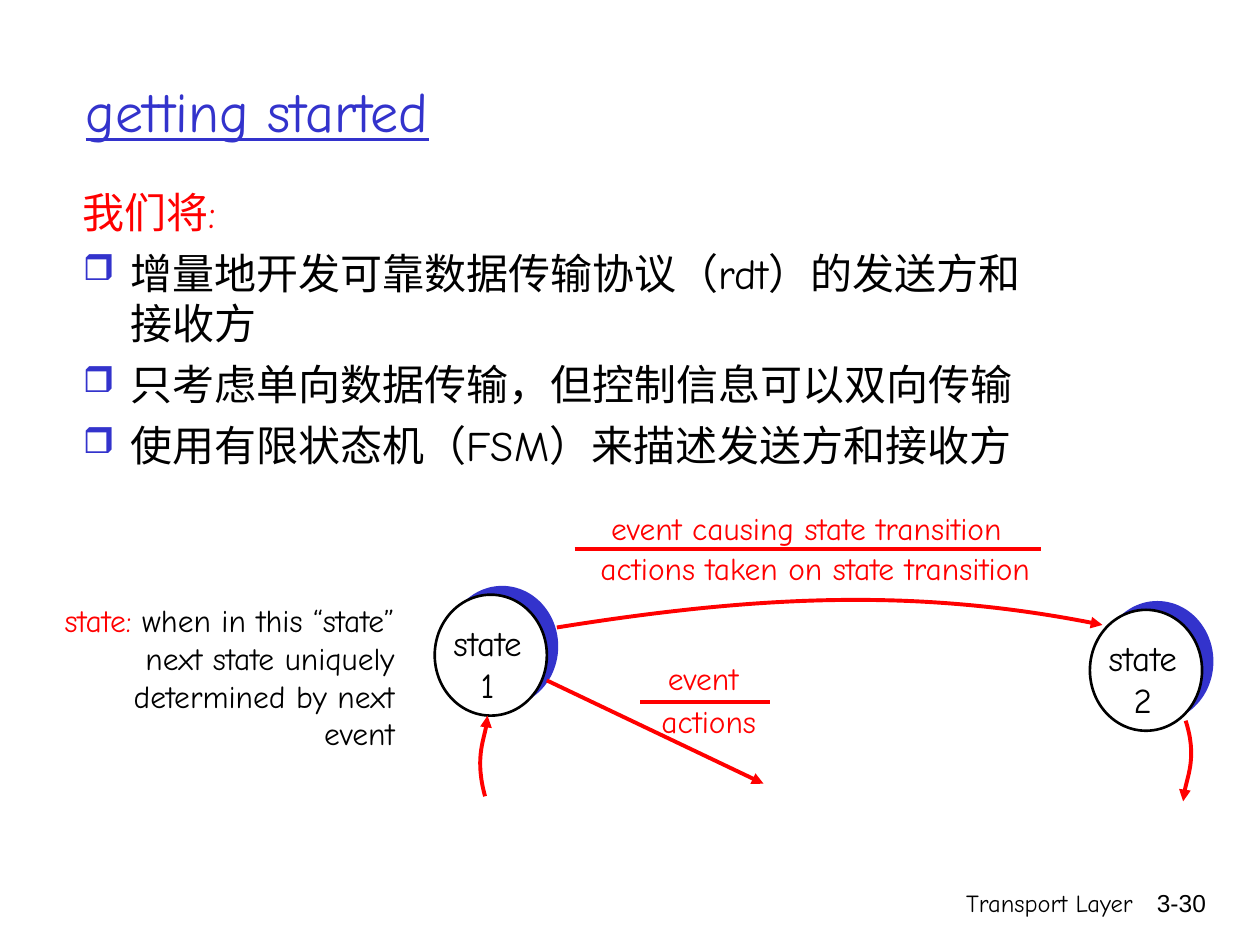
from lxml import etree
from pptx import Presentation
from pptx.dml.color import RGBColor
from pptx.enum import shapes as sh, text as tx
from pptx.oxml import ns
from pptx.util import Inches, Pt

BLUE = RGBColor(0x33, 0x33, 0xCC)
RED = RGBColor(0xFF, 0, 0)
BLACK = RGBColor(0, 0, 0)
WHITE = RGBColor(0xFF, 0xFF, 0xFF)
FONT = "Comic Neue"
LEFT, MID, RIGHT = tx.PP_ALIGN.LEFT, tx.PP_ALIGN.CENTER, tx.PP_ALIGN.RIGHT


def sub(node, tag, **attrs):
    return etree.SubElement(node, ns.qn(tag), **attrs)


def style(run, size, color, font=FONT):
    run.font.size = Pt(size)
    run.font.name = font
    run.font.color.rgb = color


def write(host, box, paras, size=18, color=BLACK, font=FONT, align=LEFT,
          wrap=True, hang=0, before=0):
    """Add a text box; each paragraph is a string or a list of (text, color)."""
    frame = host.add_textbox(*map(Inches, box)).text_frame
    frame.word_wrap = wrap
    if not wrap:
        frame.auto_size = tx.MSO_AUTO_SIZE.SHAPE_TO_FIT_TEXT
    for i, para in enumerate(paras):
        par = frame.add_paragraph() if i else frame.paragraphs[0]
        par.alignment = align
        par.space_before = Pt(before)
        if hang:
            props = par._p.get_or_add_pPr()
            props.set("marL", str(Inches(hang)))
            props.set("indent", str(-Inches(hang)))
        for words, tint in [(para, color)] if isinstance(para, str) else para:
            run = par.add_run()
            run.text = words
            style(run, size, tint, font)
    return frame


def bullet(par):
    props = par._p.get_or_add_pPr()
    sub(sub(props, "a:buClr"), "a:srgbClr", val=str(BLUE))
    sub(props, "a:buSzPct", val="85000")
    sub(props, "a:buChar", char="❒")


def stroke(shape, arrow):
    """Red line without shadow, with an arrowhead if wanted."""
    shape.line.color.rgb = RED
    shape.line.width = Pt(2.25)
    if arrow:
        sub(shape.line._get_or_add_ln(), "a:tailEnd", type="triangle")
    sub(shape._element.spPr, "a:effectLst")


def line(host, x1, y1, x2, y2, arrow=False):
    ends = map(Inches, (x1, y1, x2, y2))
    stroke(host.add_connector(sh.MSO_CONNECTOR.STRAIGHT, *ends), arrow)


def curve(host, start, *rest):
    """Cubic arrow: start, two control points, end."""
    form = host.build_freeform(*map(Inches, start))
    form.add_line_segments([tuple(map(Inches, pt)) for pt in rest], close=False)
    shape = form.convert_to_shape()
    shape.fill.background()
    # Turn the three straight segments into one Bezier segment
    route = shape._element.find(".//" + ns.qn("a:path"))
    legs = route.findall(ns.qn("a:lnTo"))
    cubic = sub(route, "a:cubicBezTo")
    for leg in legs:
        cubic.append(leg[0])
        route.remove(leg)
    stroke(shape, True)


def disc(host, x, y, fill, edge=None):
    oval = host.add_shape(sh.MSO_SHAPE.OVAL, *map(Inches, (x, y, 0.89, 0.96)))
    oval.shadow.inherit = False
    oval.fill.solid()
    oval.fill.fore_color.rgb = fill
    if edge is None:
        oval.line.fill.background()
    else:
        oval.line.color.rgb = edge
        oval.line.width = Pt(1.5)


def state(host, x, y, num):
    group = host.add_group_shape().shapes
    disc(group, x + 0.09, y - 0.07, BLUE)
    disc(group, x, y, WHITE, BLACK)
    write(group, (x + 0.04, y + 0.16, 0.76, 0.77), ["state", num],
          size=20, align=MID, wrap=False)


def label(host, top, low, rule):
    """Event above a rule, actions below; top and low are (text, box)."""
    group = host.add_group_shape().shapes
    for words, box in (top, low):
        write(group, box, [words], color=RED, align=MID, wrap=False)
    x1, x2, y = rule
    line(group, x1, y, x2, y)


def title(shape, words):
    shape.left, shape.top, shape.width, shape.height = map(
        Inches, (0.58, 0.25, 8.5, 1.25))
    frame = shape.text_frame
    frame.vertical_anchor = tx.MSO_ANCHOR.MIDDLE
    par = frame.paragraphs[0]
    par.alignment = LEFT
    run = par.add_run()
    run.text = words
    style(run, 32, BLUE)
    run.font.underline = True


def main():
    deck = Presentation()
    deck.slide_width, deck.slide_height = Inches(10), Inches(7.5)
    slide = deck.slides.add_slide(deck.slide_layouts[5])
    host = slide.shapes
    title(host.title, "getting started")

    # Footer
    write(host, (5.92, 7, 3.17, 0.5), ["Transport Layer"], size=14, align=RIGHT)
    write(host, (8.93, 7, 0.74, 0.5), ["3-30"], size=14, font="Arial", align=RIGHT)

    # Body
    body = write(host, (0.56, 1.43, 7.94, 2.46), [
        [("我们将:", RED)],
        "增量地开发可靠数据传输协议（rdt）的发送方和接收方",
        "只考虑单向数据传输，但控制信息可以双向传输",
        "使用有限状态机（FSM）来描述发送方和接收方",
    ], size=24, hang=0.38, before=6)
    for par in body.paragraphs[1:]:
        bullet(par)

    # States and the note beside them
    state(host, 3.45, 4.72, "1")
    state(host, 8.65, 4.84, "2")
    write(host, (0.2, 4.72, 3.03, 1.35), [
        [("state:", RED),
         (" when in this “state” next state uniquely determined by next event",
          BLACK)],
    ], align=RIGHT, hang=0.38, before=4.5)

    # Transitions
    curve(host, (4.42, 4.98), (6.04, 4.72), (7.33, 4.67), (8.75, 4.96))
    curve(host, (3.85, 6.32), (3.77, 6.03), (3.87, 5.78), (3.87, 5.68))
    curve(host, (9.41, 5.72), (9.5, 6), (9.39, 6.26), (9.39, 6.36))
    line(host, 4.34, 5.4, 6.06, 6.22, arrow=True)

    # Transition labels
    label(host, ("event causing state transition", (4.74, 3.99, 3.32, 0.4)),
          ("actions taken on state transition", (4.65, 4.31, 3.64, 0.4)),
          (4.56, 8.26, 4.36))
    label(host, ("event", (5.2, 5.18, 0.76, 0.4)),
          ("actions", (5.15, 5.52, 0.95, 0.4)), (5.08, 6.11, 5.57))

    deck.save("out.pptx")


if __name__ == "__main__":
    main()
